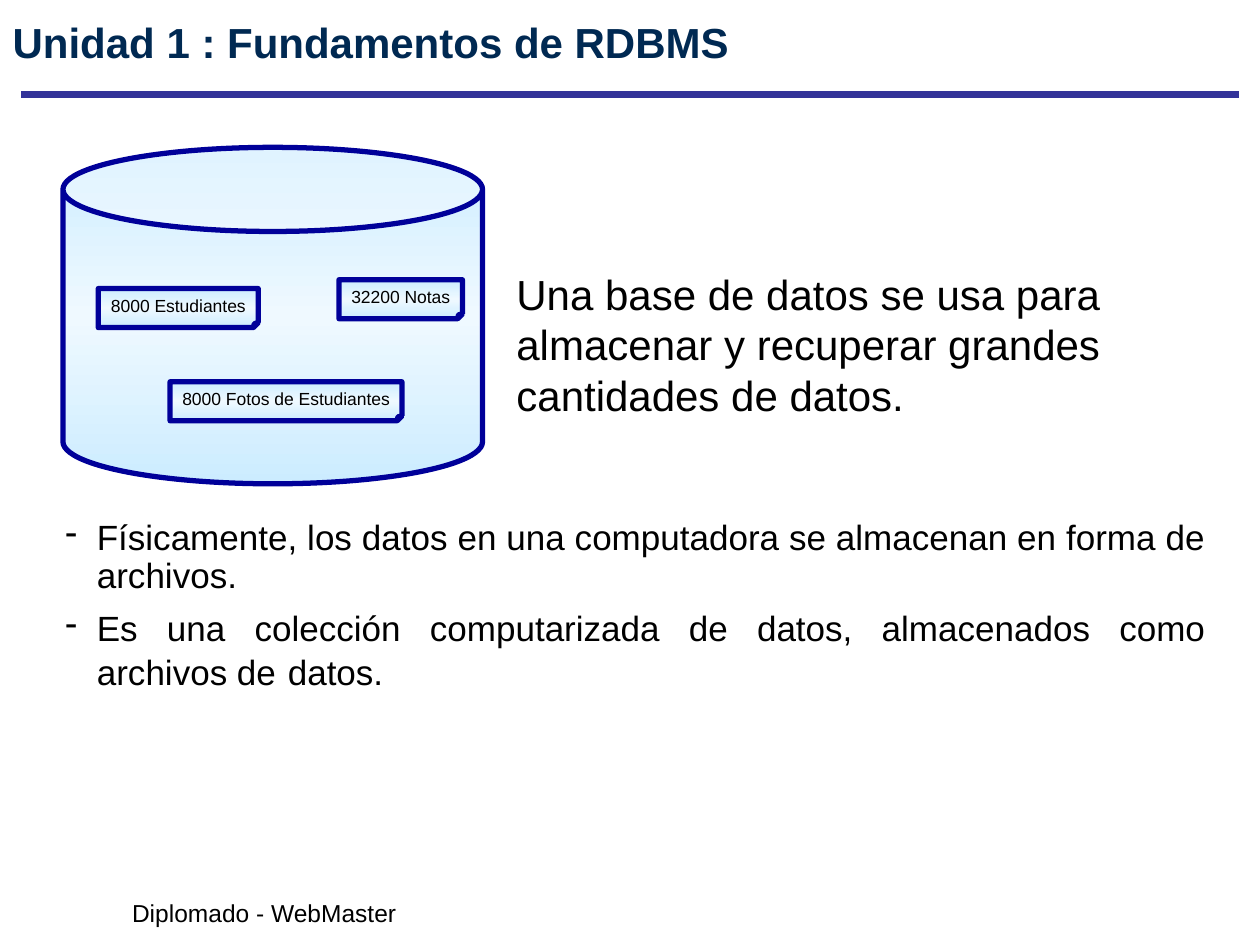
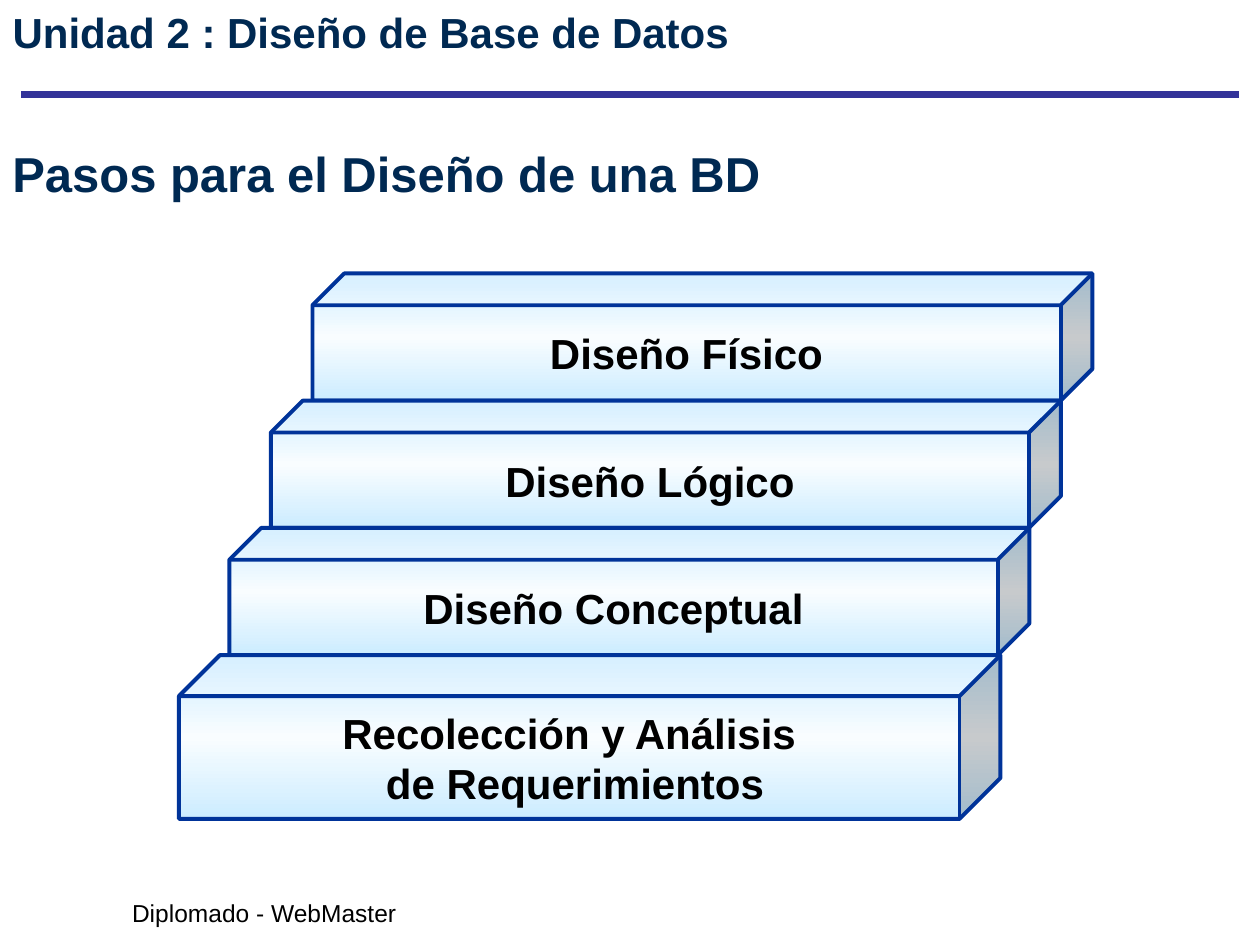
from copy import deepcopy
from dataclasses import dataclass

from lxml import etree
from pptx import Presentation
from pptx.dml.color import RGBColor
from pptx.enum import shapes, text
from pptx.oxml.ns import qn
from pptx.util import Inches, Pt


@dataclass(frozen=True)
class Theme:
    font: str = "Arial"
    title: str = "002952"
    body: str = "000000"
    rule: str = "333399"
    data_line: str = "000099"
    step_line: str = "003399"
    data_fill: tuple = ("CCECFF", "EFF9FF", "CCECFF")
    step_fill: tuple = ("CCECFF", "F9FDFF", "CCECFF")
    heading_size: int = 28
    large_size: int = 24
    bullet_size: int = 20
    footer_size: int = 14
    note_size: int = 10


THEME = Theme()
SHAPE = shapes.MSO_SHAPE
ALIGN = text.PP_ALIGN
ANCHOR = text.MSO_ANCHOR


# Shared helpers
def write_text(shape, paragraphs, size, color=THEME.body, bold=False, align=ALIGN.LEFT,
               anchor=ANCHOR.TOP, before=0, spacing=1.0, wrap=True, grow=False, bullet=None):
    """Each paragraph is a string or a list of (string, size) runs."""
    frame = shape.text_frame
    frame.word_wrap = wrap
    frame.auto_size = text.MSO_AUTO_SIZE.SHAPE_TO_FIT_TEXT if grow else text.MSO_AUTO_SIZE.NONE
    frame.vertical_anchor = anchor
    for index, content in enumerate(paragraphs):
        paragraph = frame.add_paragraph() if index else frame.paragraphs[0]
        paragraph.alignment = align
        paragraph.space_before = Pt(before)
        paragraph.line_spacing = spacing
        if bullet:
            add_bullet(paragraph, bullet, color)
        runs = [(content, size)] if isinstance(content, str) else content
        for words, run_size in runs:
            run = paragraph.add_run()
            run.text = words
            run.font.name = THEME.font
            run.font.size = Pt(run_size)
            run.font.bold = bold
            run.font.color.rgb = RGBColor.from_string(color)


def add_bullet(paragraph, mark, color):
    properties = paragraph._p.get_or_add_pPr()
    properties.set("marL", str(Inches(0.25)))
    properties.set("indent", str(Inches(-0.25)))
    bullet_color = etree.SubElement(properties, qn("a:buClr"))
    etree.SubElement(bullet_color, qn("a:srgbClr"), val=color)
    etree.SubElement(properties, qn("a:buChar"), char=mark)


def add_text(slide, box, paragraphs, size, **style):
    shape = slide.shapes.add_textbox(*map(Inches, box))
    write_text(shape, paragraphs, size, **style)


def set_adjustment(shape, share):
    """Written as XML because folded corners expose no adjustments."""
    geometry = shape._element.spPr.find(qn("a:prstGeom"))
    for old_values in geometry.findall(qn("a:avLst")):
        geometry.remove(old_values)
    values = etree.SubElement(geometry, qn("a:avLst"))
    etree.SubElement(values, qn("a:gd"), name="adj", fmla=f"val {round(share * 100000)}")


def add_gradient_shape(parent, kind, box, adjustment, colors, line, line_width):
    shape = parent.shapes.add_shape(kind, *map(Inches, box))
    set_adjustment(shape, adjustment)
    shape.shadow.inherit = False
    shape.fill.gradient()
    shape.fill.gradient_angle = 270
    stop_list = shape._element.spPr.find(".//" + qn("a:gsLst"))
    stop_list.append(deepcopy(stop_list[-1]))
    for index, (stop, color) in enumerate(zip(shape.fill.gradient_stops, colors)):
        stop.position = index / (len(colors) - 1)
        stop.color.rgb = RGBColor.from_string(color)
    shape.line.color.rgb = RGBColor.from_string(line)
    shape.line.width = Pt(line_width)
    return shape


def add_unit_slide(presentation, title, title_top):
    slide = presentation.slides.add_slide(presentation.slide_layouts[5])
    # Rule under the title
    rule = slide.shapes.add_connector(shapes.MSO_CONNECTOR.STRAIGHT,
                                      *map(Inches, (0.17, 0.75, 9.83, 0.75)))
    rule.line.color.rgb = RGBColor.from_string(THEME.rule)
    rule.line.width = Pt(4.5)
    etree.SubElement(rule._element.spPr, qn("a:effectLst"))
    # Title
    heading = slide.shapes.title
    heading.left, heading.top, heading.width, heading.height = map(
        Inches, (0, title_top, 7.91, 0.58))
    write_text(heading, [title], THEME.large_size, color=THEME.title, bold=True, before=6)
    # Footer
    add_text(slide, (0.95, 7.08, 2.3, 0.34), ["Diplomado - WebMaster"],
             THEME.footer_size, align=ALIGN.JUSTIFY, wrap=False, grow=True)
    return slide


# Regions
def add_database(slide, box):
    left, top, width, height = box
    group = slide.shapes.add_group_shape()
    style = (THEME.data_fill, THEME.data_line, 3)
    add_gradient_shape(group, SHAPE.CAN, box, 0.25, *style)
    notes = [("8000 Estudiantes", 0.28, 1.12, 1.27),
             ("8000 Fotos de Estudiantes", 0.85, 1.86, 1.84),
             ("32200 Notas", 2.19, 1.05, 0.98)]
    for label, x, y, note_width in notes:
        note = add_gradient_shape(group, SHAPE.FOLDED_CORNER,
                                  (left + x, top + y, note_width, 0.31), 0.125, *style)
        write_text(note, [label], THEME.note_size, align=ALIGN.CENTER,
                   anchor=ANCHOR.MIDDLE, before=6.2, wrap=False)


def add_staircase(slide, box):
    left, top, width, height = box
    group = slide.shapes.add_group_shape()
    steps = [(["Diseño Físico"], 1.06, 6.19, 1.01),
             (["Diseño Lógico"], 0.73, 6.27, 1.01),
             (["Diseño Conceptual"], 0.4, 6.35, 1.01),
             (["Recolección y Análisis", " de Requerimientos"], 0, 6.52, 1.3)]
    for lines, x, step_width, step_height in steps:
        step = add_gradient_shape(group, SHAPE.CUBE, (left + x, top, step_width, step_height),
                                  0.25, THEME.step_fill, THEME.step_line, 2.25)
        write_text(step, lines, THEME.large_size, bold=True, align=ALIGN.CENTER,
                   anchor=ANCHOR.MIDDLE, wrap=False)
        top += step_height


# Slides
def build_fundamentals(presentation):
    slide = add_unit_slide(presentation, "Unidad 1 : Fundamentos de RDBMS", 0.08)
    add_database(slide, (0.5, 1.17, 3.33, 2.67))
    add_text(slide, (4, 2.08, 5.08, 1.58),
             ["Una base de datos se usa para almacenar y recuperar grandes cantidades de datos."],
             THEME.large_size, before=6)
    size = THEME.bullet_size
    add_text(slide, (0.42, 4.08, 9.25, 1.48),
             ["Físicamente, los datos en una computadora se almacenan en forma de archivos.",
              [("Es una colección computarizada de datos, almacenados como archivos de", size),
               (" ", THEME.large_size), ("datos.", size)]],
             size, align=ALIGN.JUSTIFY, before=8.8, spacing=0.9, grow=True, bullet="-")


def build_design_steps(presentation):
    slide = add_unit_slide(presentation, "Unidad 2 : Diseño de Base de Datos", 0)
    add_text(slide, (0, 1, 8.5, 0.75), ["Pasos para el Diseño de una BD"],
             THEME.heading_size, color=THEME.title, bold=True, anchor=ANCHOR.MIDDLE)
    add_staircase(slide, (1.42, 2.17, 7.25, 4.33))


def main():
    presentation = Presentation()
    presentation.slide_width = Inches(10)
    presentation.slide_height = Inches(7.5)
    build_fundamentals(presentation)
    build_design_steps(presentation)
    presentation.save("out.pptx")


if __name__ == "__main__":
    main()
